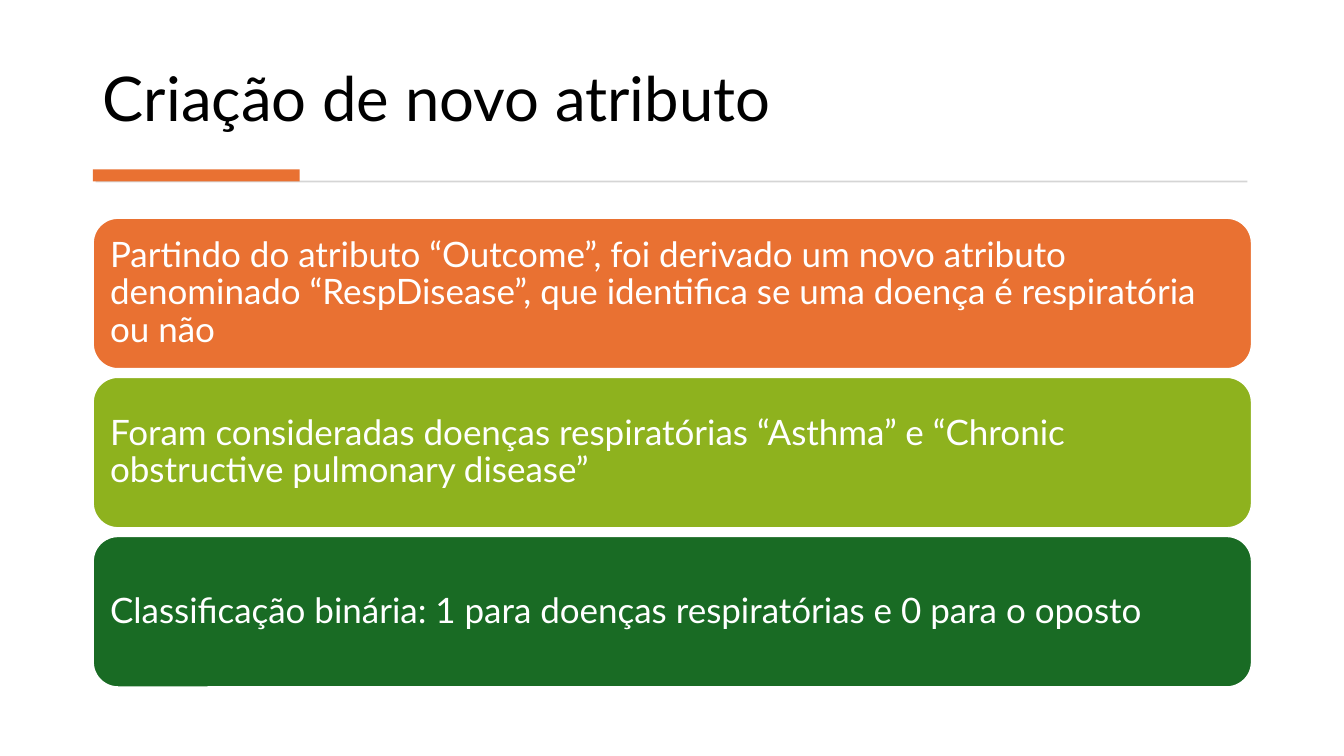
from pptx import Presentation
from pptx.dml.color import RGBColor
from pptx.enum.shapes import MSO_SHAPE
from pptx.enum.text import MSO_ANCHOR, MSO_AUTO_SIZE, PP_ALIGN
from pptx.util import Cm, Pt

RECTANGLE = MSO_SHAPE.RECTANGLE
ROUNDED = MSO_SHAPE.ROUNDED_RECTANGLE
MIDDLE, BOTTOM = MSO_ANCHOR.MIDDLE, MSO_ANCHOR.BOTTOM
LEFT = PP_ALIGN.LEFT
NO_AUTOFIT = MSO_AUTO_SIZE.NONE

FONT = "Lato"
WHITE, BLACK, GRAY, ORANGE = "FFFFFF", "000000", "D5D5D5", "E97132"
TITLE = "Criação de novo atributo"
CARDS = [
    ("Partindo do atributo “Outcome”, foi derivado um novo atributo denominado "
     "“RespDisease”, que identifica se uma doença é respiratória ou não", ORANGE),
    ("Foram consideradas doenças respiratórias “Asthma” e “Chronic obstructive "
     "pulmonary disease”", "8EB21E"),
    ("Classificação binária: 1 para doenças respiratórias e 0 para o oposto", "196B24"),
]
# Left, top, width, height in cm
RULE = (2.41, 4.55, 29.03, 0.05)
ACCENT = (2.34, 4.27, 5.21, 0.3)
TITLE_AREA = (2.34, 0.71, 29.18, 2.82)
CARD_LEFT, CARD_TOP, CARD_WIDTH, CARD_HEIGHT = 2.34, 5.49, 29.21, 3.81
CARD_GAP = 0.2
CARD_INSET = 0.25


def color(hex_code):
    return RGBColor.from_string(hex_code)


def add_block(page, kind, area, fill):
    block = page.shapes.add_shape(kind, *map(Cm, area))
    block.shadow.inherit = False
    block.fill.solid()
    block.fill.fore_color.rgb = color(fill)
    block.line.fill.background()
    return block


def write(shape, text, size, hex_code, anchor):
    frame = shape.text_frame
    frame.text = text
    frame.word_wrap = True
    frame.auto_size = NO_AUTOFIT
    frame.vertical_anchor = anchor
    para = frame.paragraphs[0]
    para.alignment = LEFT
    para.line_spacing = 0.9
    font = para.runs[0].font
    font.name = FONT
    font.size = Pt(size)
    font.color.rgb = color(hex_code)


def add_card(page, index, text, fill):
    top = CARD_TOP + index * (CARD_HEIGHT + CARD_GAP)
    card = add_block(page, ROUNDED, (CARD_LEFT, top, CARD_WIDTH, CARD_HEIGHT), fill)
    card.line.color.rgb = color(WHITE)
    card.line.width = Pt(1.5)
    write(card, text, 25, WHITE, MIDDLE)
    frame = card.text_frame
    frame.margin_left = frame.margin_right = Cm(CARD_INSET)
    frame.margin_top = frame.margin_bottom = Cm(CARD_INSET)


def main():
    deck = Presentation()
    deck.slide_width, deck.slide_height = Cm(33.87), Cm(19.05)
    page = deck.slides.add_slide(deck.slide_layouts[5])
    title = page.shapes.title
    title.left, title.top, title.width, title.height = map(Cm, TITLE_AREA)
    write(title, TITLE, 44, BLACK, BOTTOM)
    add_block(page, RECTANGLE, RULE, GRAY)
    add_block(page, RECTANGLE, ACCENT, ORANGE)
    for index, (text, fill) in enumerate(CARDS):
        add_card(page, index, text, fill)
    deck.save("out.pptx")


if __name__ == "__main__":
    main()
